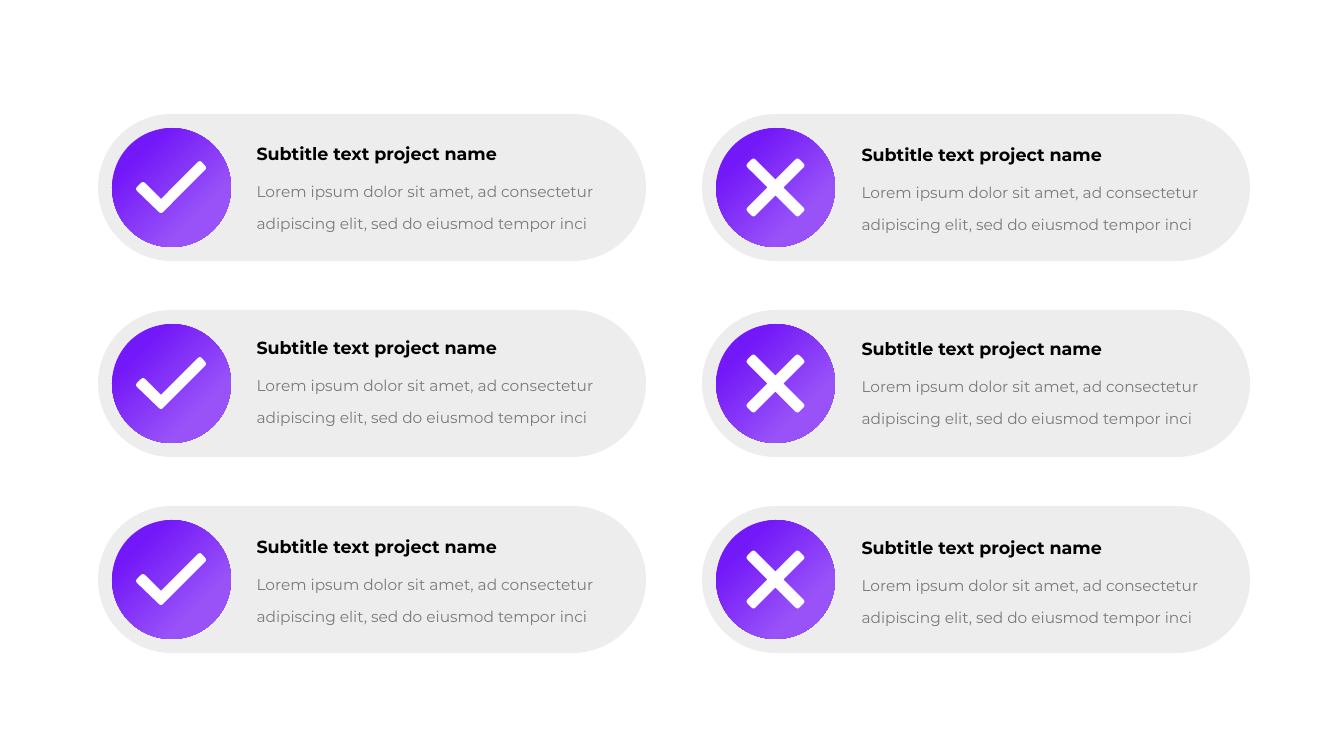
from dataclasses import dataclass

from pptx import Presentation
from pptx.dml.color import RGBColor
from pptx.enum.shapes import MSO_SHAPE
from pptx.enum.text import MSO_AUTO_SIZE
from pptx.oxml import parse_xml
from pptx.oxml.ns import nsdecls, qn
from pptx.util import Emu, Pt

PILL = MSO_SHAPE.ROUNDED_RECTANGLE
CIRCLE = MSO_SHAPE.OVAL
GROW = MSO_AUTO_SIZE.SHAPE_TO_FIT_TEXT

EMU_PER_PIXEL = 914400 / 50.4


@dataclass(frozen=True)
class Theme:
    font: str = "Montserrat"
    card: str = "DDDDDD"
    card_opacity: int = 50
    gradient: tuple = ((27, "9852F8"), (78, "7318F8"), (100, "7318F8"))
    icon: str = "FFFFFF"
    title: str = "000000"
    body: str = "7B7B7C"
    title_size: int = 25
    body_size: int = 22
    body_leading: int = 45
    inset: float = 3.6


THEME = Theme()

TITLE = "Subtitle text project name"
BODY = ("Lorem ipsum dolor sit amet, ad consectetur adipiscing elit, "
        "sed do eiusmod tempor inci")

# Layout in pixels
SLIDE_WIDTH, SLIDE_HEIGHT = 1344, 756
CARD_WIDTH, CARD_HEIGHT = 548, 147
CARD_TOP, ROW_PITCH = 114, 196
TITLE_TOPS = (141, 335, 534)
BADGE_INSET, BADGE_SIZE = 14, 119
TITLE_WIDTH, TITLE_HEIGHT = 316, 26
BODY_WIDTH, BODY_HEIGHT = 370, 65
CORNER_CUT = 0.3

# Icon corners relative to the card: (x, y, rounded)
CHECK = [(63, 85, False), (45, 67, True), (37, 75, True),
         (63, 100, True), (109, 54, True), (102, 46, True)]


def cross_corners(notch=8, near=22, far=30):
    """One arm turned by quarter turns about the middle of the badge."""
    middle = CARD_HEIGHT / 2
    arm = [(-notch, 0, False), (-far, -near, True), (-near, -far, True)]
    corners = []
    for _ in range(4):
        corners += [(middle + x, middle + y, rounded) for x, y, rounded in arm]
        arm = [(-y, x, rounded) for x, y, rounded in arm]
    return corners


def px(length):
    return Emu(round(length * EMU_PER_PIXEL))


def set_solid(shape, color):
    shape.shadow.inherit = False
    shape.fill.solid()
    shape.fill.fore_color.rgb = RGBColor.from_string(color)
    shape.line.fill.background()
    return shape._element.spPr.find(qn("a:solidFill"))


def add_card(shapes, left, top):
    card = shapes.add_shape(PILL, px(left), px(top), px(CARD_WIDTH), px(CARD_HEIGHT))
    card.adjustments[0] = 0.5
    fill = set_solid(card, THEME.card)
    fill[0].append(parse_xml(
        f'<a:alpha {nsdecls("a")} val="{THEME.card_opacity * 1000}"/>'))


def add_badge(shapes, left, top):
    badge = shapes.add_shape(CIRCLE, px(left), px(top), px(BADGE_SIZE), px(BADGE_SIZE))
    fill = set_solid(badge, THEME.gradient[0][1])
    stops = "".join(
        f'<a:gs pos="{position * 1000}"><a:srgbClr val="{color}"/></a:gs>'
        for position, color in THEME.gradient)
    fill.getparent().replace(fill, parse_xml(
        f'<a:gradFill {nsdecls("a")} rotWithShape="1"><a:gsLst>{stops}</a:gsLst>'
        '<a:path path="circle"><a:fillToRect l="100000" t="100000"/></a:path>'
        '<a:tileRect r="-100000" b="-100000"/></a:gradFill>'))


def toward(start, end, share):
    return tuple(a + (b - a) * share for a, b in zip(start, end))


def round_corners(corners, cut=3, steps=4):
    """Replace each rounded corner by points along a quadratic curve."""
    points = []
    for index, (x, y, rounded) in enumerate(corners):
        corner = (x, y)
        if not rounded:
            points.append(corner)
            continue
        ends = []
        for neighbour in (corners[index - 1], corners[(index + 1) % len(corners)]):
            length = ((neighbour[0] - x) ** 2 + (neighbour[1] - y) ** 2) ** 0.5
            ends.append(toward(corner, neighbour[:2], cut / length))
        for step in range(steps + 1):
            share = step / steps
            points.append(toward(toward(ends[0], corner, share),
                                 toward(corner, ends[1], share), share))
    return points


def add_icon(shapes, left, top, corners):
    points = [(px(left + x), px(top + y)) for x, y in round_corners(corners)]
    builder = shapes.build_freeform(*points[0], scale=1.0)
    builder.add_line_segments(points[1:], close=True)
    set_solid(builder.convert_to_shape(), THEME.icon)


def add_text(shapes, box, text, size, color, bold=None, leading=None):
    text_frame = shapes.add_textbox(*map(px, box)).text_frame
    text_frame.word_wrap = True
    text_frame.auto_size = GROW
    text_frame.margin_left = text_frame.margin_right = Pt(THEME.inset)
    text_frame.margin_top = text_frame.margin_bottom = Pt(THEME.inset)
    text_frame.text = text
    paragraph = text_frame.paragraphs[0]
    if leading:
        paragraph.line_spacing = Pt(leading)
    font = paragraph.runs[0].font
    font.name, font.size, font.bold = THEME.font, Pt(size), bold
    font.color.rgb = RGBColor.from_string(color)


def add_column(slide, left, text_left, text_drop, corners):
    shapes = slide.shapes.add_group_shape().shapes
    for row, title_top in enumerate(TITLE_TOPS):
        top = CARD_TOP + row * ROW_PITCH
        text_top = title_top + text_drop
        # Card with its badge and icon
        add_card(shapes, left, top)
        add_badge(shapes, left + BADGE_INSET, top + BADGE_INSET)
        add_icon(shapes, left, top, corners)
        # Title and description
        add_text(shapes, (text_left, text_top, TITLE_WIDTH, TITLE_HEIGHT),
                 TITLE, THEME.title_size, THEME.title, bold=True)
        add_text(shapes, (text_left, text_top + TITLE_HEIGHT, BODY_WIDTH, BODY_HEIGHT),
                 BODY, THEME.body_size, THEME.body, leading=THEME.body_leading)


def main():
    presentation = Presentation()
    presentation.slide_width = px(SLIDE_WIDTH)
    presentation.slide_height = px(SLIDE_HEIGHT)
    slide = presentation.slides.add_slide(presentation.slide_layouts[6])
    add_column(slide, left=98, text_left=254, text_drop=0, corners=CHECK)
    add_column(slide, left=702, text_left=859, text_drop=1, corners=cross_corners())
    presentation.save("out.pptx")


main()
